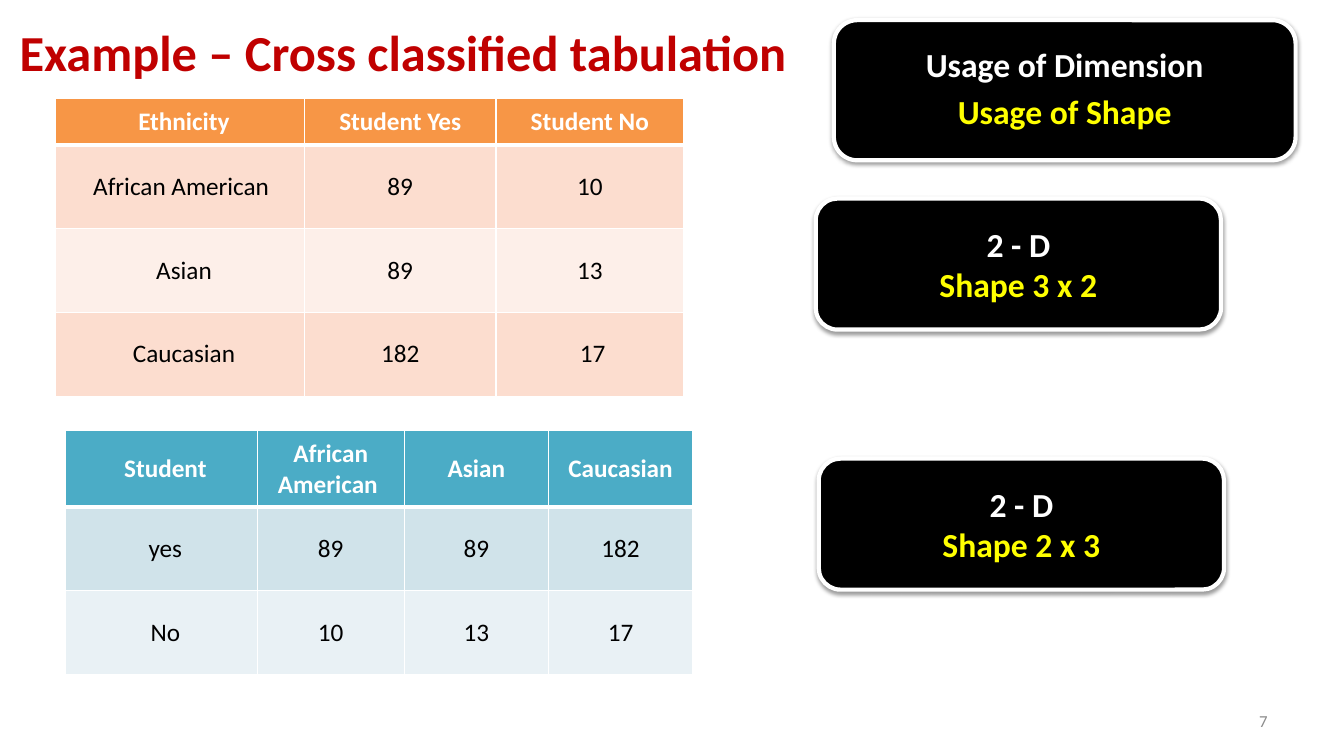
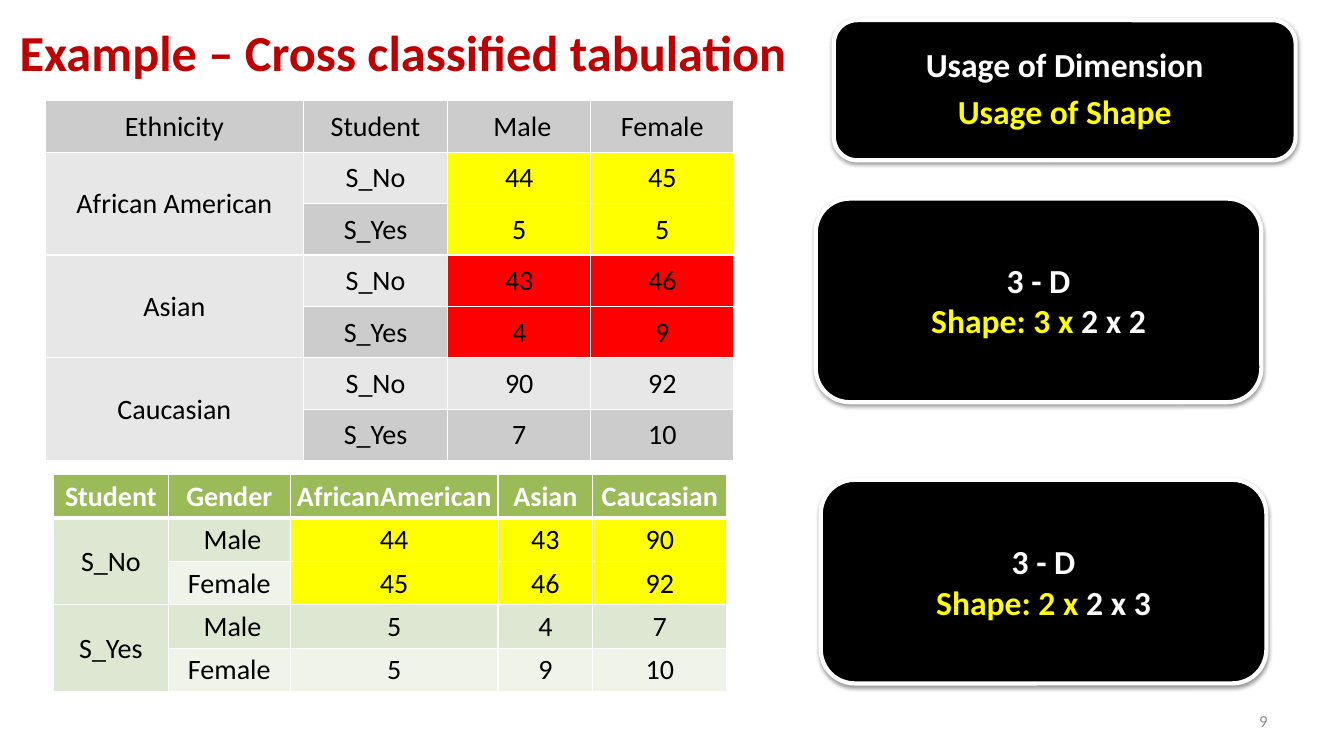
from dataclasses import dataclass

from lxml.etree import SubElement
from pptx import Presentation
from pptx.dml.color import RGBColor
from pptx.enum.shapes import MSO_SHAPE
from pptx.enum.text import MSO_ANCHOR, PP_ALIGN
from pptx.oxml.ns import qn
from pptx.util import Inches, Pt

BLACK = RGBColor(0x00, 0x00, 0x00)
WHITE = RGBColor(0xFF, 0xFF, 0xFF)
YELLOW = RGBColor(0xFF, 0xFF, 0x00)
RED = RGBColor(0xFF, 0x00, 0x00)
DARK_RED = RGBColor(0xC0, 0x00, 0x00)
PAGE_GRAY = RGBColor(0x8C, 0x8C, 0x8C)
ORANGE = RGBColor(0xF7, 0x96, 0x46)
ORANGE_TINT = RGBColor(0xFC, 0xDD, 0xCF)
ORANGE_PALE = RGBColor(0xFD, 0xEF, 0xE9)
TEAL = RGBColor(0x4B, 0xAC, 0xC6)
TEAL_TINT = RGBColor(0xD0, 0xE3, 0xEA)
TEAL_PALE = RGBColor(0xE9, 0xF1, 0xF5)
GRAY_TINT = RGBColor(0xCC, 0xCC, 0xCC)
GRAY_PALE = RGBColor(0xE7, 0xE7, 0xE7)
GREEN = RGBColor(0x9B, 0xBB, 0x59)
GREEN_TINT = RGBColor(0xDE, 0xE7, 0xD1)
GREEN_PALE = RGBColor(0xEF, 0xF3, 0xEA)


@dataclass(frozen=True)
class Palette:
    header: RGBColor
    bands: tuple
    header_text: RGBColor = WHITE


@dataclass(frozen=True)
class Density:
    size: int
    first_left: float
    margin: float
    bottom: float


ORANGE_TABLE = Palette(ORANGE, (ORANGE_TINT, ORANGE_PALE))
TEAL_TABLE = Palette(TEAL, (TEAL_TINT, TEAL_PALE))
GRAY_TABLE = Palette(GRAY_TINT, (GRAY_PALE, GRAY_TINT), BLACK)
GREEN_TABLE = Palette(GREEN, (GREEN_TINT, GREEN_PALE))
ROOMY = Density(18, 0.16, 0.08, 0.08)
DENSE = Density(20, 0.01, 0.01, 0)


class TabulationDeck:
    font = "Calibri"

    def __init__(self):
        self.deck = Presentation()
        self.deck.slide_width = Inches(13.33)
        self.deck.slide_height = Inches(7.5)
        self.page = None

    def style(self, para, size, color, bold=False, align=PP_ALIGN.CENTER):
        para.alignment = align
        para.font.name = self.font
        para.font.size = Pt(size)
        para.font.bold = bold
        para.font.color.rgb = color

    def add_page(self, title, number):
        self.page = self.deck.slides.add_slide(self.deck.slide_layouts[5])
        heading = self.page.shapes.title
        heading.left, heading.top = Inches(0.06), Inches(0.1)
        heading.width, heading.height = Inches(7.88), Inches(0.81)
        heading.text_frame.text = title
        heading.text_frame.vertical_anchor = MSO_ANCHOR.MIDDLE
        self.style(heading.text_frame.paragraphs[0], 36, DARK_RED, True)
        box = self.page.shapes.add_textbox(
            Inches(9.56), Inches(6.95), Inches(3.11), Inches(0.4))
        frame = box.text_frame
        frame.word_wrap = True
        frame.vertical_anchor = MSO_ANCHOR.MIDDLE
        frame.text = str(number)
        self.style(frame.paragraphs[0], 12, PAGE_GRAY, align=PP_ALIGN.RIGHT)
        self.add_badge(8.27, 0.2, 4.58, 1.39, "Usage of Dimension",
                       "Usage of Shape", spaced=True)

    def add_badge(self, left, top, width, height, first, second,
                  ending="", spaced=False):
        badge = self.page.shapes.add_shape(
            MSO_SHAPE.ROUNDED_RECTANGLE, Inches(left), Inches(top),
            Inches(width), Inches(height))
        badge.fill.solid()
        badge.fill.fore_color.rgb = BLACK
        badge.line.color.rgb = WHITE
        badge.line.width = Pt(3)
        self.add_shadow(badge)
        frame = badge.text_frame
        frame.word_wrap = True
        frame.vertical_anchor = MSO_ANCHOR.MIDDLE
        frame.text = f"{first}\n{second}"
        for para, color in zip(frame.paragraphs, (WHITE, YELLOW)):
            self.style(para, 24, color, True)
            if spaced:
                para.line_spacing = 0.9
                para.space_after = Pt(8)
        if ending:
            span = frame.paragraphs[1].add_run()
            span.text = ending
            span.font.color.rgb = WHITE

    def add_shadow(self, shape):
        shape.shadow.inherit = False
        effects = shape._element.spPr.find(qn("a:effectLst"))
        shadow = SubElement(effects, qn("a:outerShdw"), blurRad=str(Pt(3.1)),
                            dist=str(Pt(1.6)), dir="5400000", rotWithShape="0")
        color = SubElement(shadow, qn("a:srgbClr"), val=str(BLACK))
        SubElement(color, qn("a:alpha"), val="38000")

    def add_borders(self, cell, top, bottom):
        properties = cell._tc.get_or_add_tcPr()
        for side, width in (("L", 1), ("R", 1), ("T", top), ("B", bottom)):
            line = SubElement(properties, qn(f"a:ln{side}"), w=str(Pt(width)))
            fill = SubElement(line, qn("a:solidFill"))
            SubElement(fill, qn("a:srgbClr"), val=str(WHITE))

    def add_table(self, left, top, widths, heights, rows, palette, density,
                  highlights=None, paired=False):
        highlights = highlights or {}
        table = self.page.shapes.add_table(
            len(rows), len(widths), Inches(left), Inches(top),
            Inches(sum(widths)), Inches(sum(heights))).table
        for column, width in zip(table.columns, widths):
            column.width = Inches(width)
        for row, height in zip(table.rows, heights):
            row.height = Inches(height)
        bold_header = palette.header_text == WHITE
        rule = 3 if bold_header else 1
        for r, values in enumerate(rows):
            header = r == 0
            band = palette.header if header else palette.bands[(r - 1) % 2]
            for c, value in enumerate(values):
                cell = table.cell(r, c)
                self.add_borders(cell, rule if r == 1 else 1,
                                 rule if header else 1)
                cell.fill.solid()
                cell.fill.fore_color.rgb = (
                    highlights.get(r, band) if c >= 2 else band)
                cell.vertical_anchor = MSO_ANCHOR.MIDDLE
                cell.margin_left = Inches(
                    density.first_left if c == 0 else density.margin)
                cell.margin_right = cell.margin_top = Inches(density.margin)
                cell.margin_bottom = Inches(density.bottom)
                cell.text = value
                self.style(cell.text_frame.paragraphs[0], density.size,
                           palette.header_text if header else BLACK,
                           header and bold_header)
        if paired:
            for r in range(1, len(rows), 2):
                table.cell(r, 0).merge(table.cell(r + 1, 0))

    def save(self):
        self.deck.save("out.pptx")


def main():
    title = "Example – Cross classified tabulation"
    slides = TabulationDeck()

    slides.add_page(title, 7)
    slides.add_table(
        0.55, 0.98, (2.47, 1.9, 1.86), (0.42, 0.83, 0.83, 0.83),
        (("Ethnicity", "Student Yes", "Student No"),
         ("African American ", "89", "10"),
         ("Asian", "89", "13"),
         ("Caucasian", "182", " 17")),
        ORANGE_TABLE, ROOMY)
    slides.add_badge(8.09, 1.97, 4.02, 1.3, "2 - D", "Shape 3 x 2")
    slides.add_table(
        0.65, 4.27, (1.9, 1.46, 1.43, 1.43), (0.42, 0.83, 0.83),
        (("Student", "African American ", "Asian", "Caucasian"),
         ("yes", "89", "89", "182"),
         ("No", "10", "13", "17")),
        TEAL_TABLE, ROOMY)
    slides.add_badge(8.12, 4.55, 4.02, 1.3, "2 - D", "Shape 2 x 3")

    slides.add_page(title, 9)
    slides.add_badge(8.09, 1.97, 4.42, 2.02, "3 - D", "Shape: 3 x ", "2 x 2")
    slides.add_table(
        0.45, 1, (2.56, 1.43, 1.42, 1.42), (0.51,) * 7,
        (("Ethnicity", "Student", " Male", "Female"),
         ("African American", "S_No", "44", "45"),
         ("", "S_Yes", "5", "5"),
         ("Asian", "S_No", "43", "46"),
         ("", "S_Yes", "4", "9"),
         ("Caucasian", "S_No", "90", "92"),
         ("", "S_Yes", "7", "10")),
        GRAY_TABLE, DENSE,
        highlights={1: YELLOW, 2: YELLOW, 3: RED, 4: RED}, paired=True)
    slides.add_table(
        0.53, 4.71, (1.14, 1.21, 2.06, 0.94, 1.33), (0.43,) * 5,
        (("Student", "Gender", "AfricanAmerican", "Asian", "Caucasian"),
         ("S_No", " Male", "44", "43", "90"),
         ("", "Female", "45", "46", "92"),
         ("S_Yes", " Male", "5", "4", "7"),
         ("", "Female", "5", "9", "10")),
        GREEN_TABLE, DENSE,
        highlights={1: YELLOW, 2: YELLOW}, paired=True)
    slides.add_badge(8.14, 4.76, 4.42, 2.02, "3 - D", "Shape: 2 x ", "2 x 3")
    slides.save()


if __name__ == "__main__":
    main()
